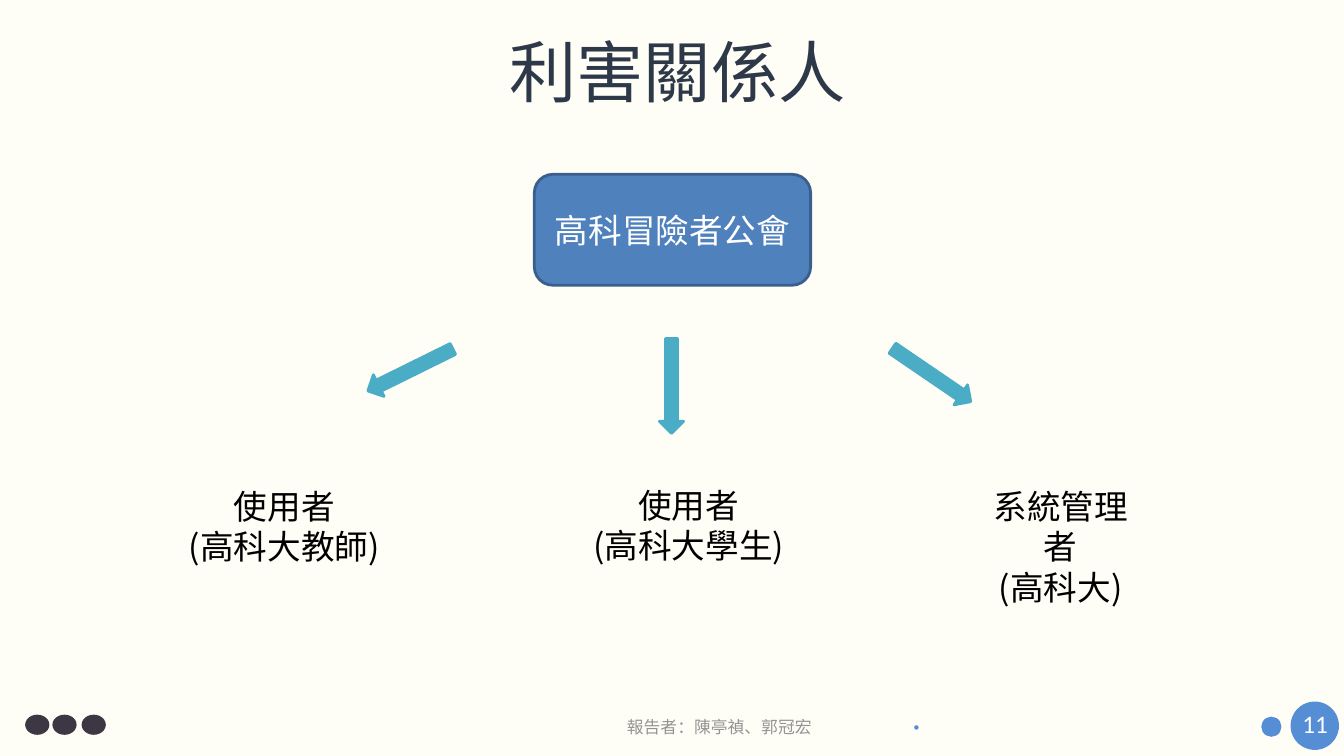
from dataclasses import dataclass
from lxml import etree
from pptx import Presentation
from pptx.dml.color import RGBColor
from pptx.enum import shapes, text
from pptx.oxml.ns import qn
from pptx.util import Inches, Pt


@dataclass(frozen=True)
class Theme:
    back: str = "FFFEF6"
    title: str = "2D3848"
    ink: str = "000000"
    white: str = "FFFFFF"
    box: str = "4F81BD"
    edge: str = "3A5F8C"
    arrow: str = "4BACC6"
    accent: str = "558ED5"
    dark: str = "3D3743"
    gray: str = "949494"
    latin: str = "Calibri"
    cjk: str = "Noto Sans CJK SC"
    head: int = 48
    body: int = 24
    page: int = 18
    foot: int = 12
    dot: int = 9
    line: int = 2


T = Theme()
TITLE = "利害關係人"
GUILD = "高科冒險者公會"
# Lines, left, top and width of each role
ROLES = [
    (["使用者", "(高科大教師)"], 1.71, 4.77, 2.22),
    (["使用者", "(高科大學生)"], 5.72, 4.76, 2.22),
    (["系統管理者", "(高科大)"], 9.58, 4.77, 1.88),
]
# Left, top and rotation of each arrow
ARROWS = [(3.6, 3.55, 153.7), (6.19, 3.71, 90), (8.77, 3.6, 34.3)]
# Left, top, width, height and colour of each dot
DOTS = [
    (12.8, 6.96, 0.48, 0.48, T.accent),
    (12.51, 7.11, 0.2, 0.2, T.accent),
] + [(x, 7.09, 0.24, 0.2, T.dark) for x in (0.25, 0.52, 0.81)]
# Text, box, size, font, colour, alignment
LABELS = [
    ("報告者：陳亭禎、郭冠宏", (6.11, 7.06, 2.05, 0.3),
     T.foot, T.cjk, T.gray, text.PP_ALIGN.CENTER),
    ("•", (8.96, 7.08, 0.27, 0.25),
     T.dot, T.latin, T.accent, text.PP_ALIGN.LEFT),
    ("11", (12.82, 6.98, 0.46, 0.4),
     T.page, T.latin, T.white, text.PP_ALIGN.LEFT),
]


def rgb(code):
    return RGBColor.from_string(code)


def write(frame, lines, size, color, font=T.cjk, align=text.PP_ALIGN.CENTER):
    for i, line in enumerate(lines):
        para = frame.paragraphs[0] if i == 0 else frame.add_paragraph()
        para.alignment = align
        run = para.add_run()
        run.text = line
        run.font.size = Pt(size)
        run.font.name = font
        run.font.color.rgb = rgb(color)
        # East Asian glyphs take their typeface from a:ea
        ea = etree.Element(qn("a:ea"), typeface=font)
        run.font._element.find(qn("a:latin")).addnext(ea)


def draw(slide, kind, box, fill, edge=None):
    shape = slide.shapes.add_shape(kind, *map(Inches, box))
    shape.shadow.inherit = False
    shape.fill.solid()
    shape.fill.fore_color.rgb = rgb(fill)
    if edge:
        shape.line.color.rgb = rgb(edge)
        shape.line.width = Pt(T.line)
    else:
        shape.line.fill.background()
    return shape


def label(slide, box, wrap):
    frame = slide.shapes.add_textbox(*map(Inches, box)).text_frame
    frame.word_wrap = wrap
    return frame


def main():
    deck = Presentation()
    deck.slide_width, deck.slide_height = Inches(13.33), Inches(7.5)
    slide = deck.slides.add_slide(deck.slide_layouts[0])
    slide.background.fill.solid()
    slide.background.fill.fore_color.rgb = rgb(T.back)
    sub = slide.placeholders[1].element
    sub.getparent().remove(sub)

    for *box, color in DOTS:
        draw(slide, shapes.MSO_SHAPE.OVAL, box, color)

    title = slide.shapes.title
    title.left, title.top, title.width, title.height = map(
        Inches, (2.05, 0.18, 9.34, 1.05))
    title.text_frame.vertical_anchor = text.MSO_ANCHOR.MIDDLE
    write(title.text_frame, [TITLE], T.head, T.title)

    guild = draw(slide, shapes.MSO_SHAPE.ROUNDED_RECTANGLE,
                 (5.3, 1.73, 2.74, 1.1), T.box, T.edge)
    guild.text_frame.vertical_anchor = text.MSO_ANCHOR.MIDDLE
    write(guild.text_frame, [GUILD], T.body, T.white)

    for left, top, turn in ARROWS:
        arrow = draw(slide, shapes.MSO_SHAPE.RIGHT_ARROW,
                     (left, top, 0.94, 0.24), T.arrow, T.arrow)
        arrow.rotation = turn

    for lines, left, top, width in ROLES:
        frame = label(slide, (left, top, width, 0.91), True)
        frame.margin_left = frame.margin_right = Inches(0.15)
        write(frame, lines, T.body, T.ink)

    for line, box, size, font, color, align in LABELS:
        write(label(slide, box, False), [line], size, color, font, align)

    deck.save("out.pptx")


if __name__ == "__main__":
    main()
